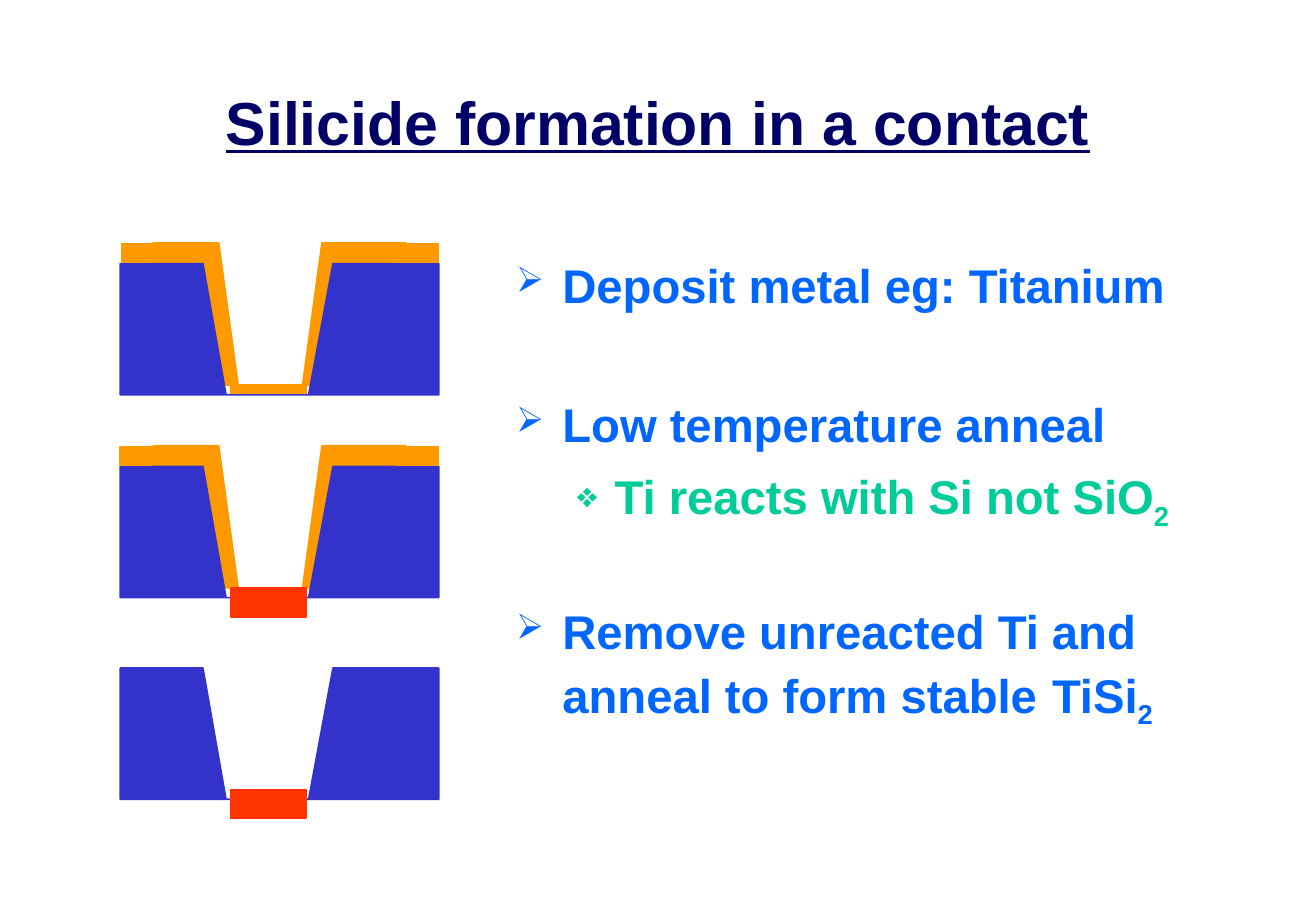
from dataclasses import dataclass

from lxml import etree
from pptx import Presentation
from pptx.dml.color import RGBColor
from pptx.enum.shapes import MSO_SHAPE
from pptx.enum.text import MSO_ANCHOR, PP_ALIGN
from pptx.oxml.ns import qn
from pptx.util import Inches, Pt

RECTANGLE = MSO_SHAPE.RECTANGLE
MIDDLE, TOP = MSO_ANCHOR.MIDDLE, MSO_ANCHOR.TOP
CENTER, LEFT = PP_ALIGN.CENTER, PP_ALIGN.LEFT


@dataclass(frozen=True)
class Theme:
    """Colours, font and type sizes of the deck."""

    font: str = "Arial"
    title_size: int = 36
    body_size: int = 28
    wide_space_size: int = 32
    title: str = "000066"
    point: str = "0066FF"
    detail: str = "00CC99"
    metal: str = "FF9900"
    oxide: str = "3333CC"
    silicide: str = "FF3300"


class SlideBuilder:
    """Draws styled elements on the current slide."""

    def __init__(self, page, theme):
        self.page = page
        self.theme = theme

    def paint(self, shape, color):
        """Give a shape one colour for fill and outline."""
        shape.shadow.inherit = False
        shape.fill.solid()
        shape.fill.fore_color.rgb = RGBColor.from_string(color)
        shape.line.color.rgb = RGBColor.from_string(color)
        shape.line.width = Pt(1)

    def block(self, left, top, width, height, color):
        """Draw a filled rectangle."""
        frame = [Inches(length) for length in (left, top, width, height)]
        self.paint(self.page.shapes.add_shape(RECTANGLE, *frame), color)

    def profile(self, across, top, bottom, color):
        """Draw a layer with a tapered contact opening."""
        levels = (top, top, bottom, bottom, top, top, bottom, bottom)
        corners = [(Inches(x), Inches(y))
                   for x, y in zip(across + (across[0],), levels)]
        builder = self.page.shapes.build_freeform(*corners[0])
        builder.add_line_segments(corners[1:], close=True)
        self.paint(builder.convert_to_shape(), color)

    def text_box(self, left, top, width, height, anchor):
        """Add a wrapping text box and return its text frame."""
        frame = [Inches(length) for length in (left, top, width, height)]
        text_frame = self.page.shapes.add_textbox(*frame).text_frame
        text_frame.word_wrap = True
        text_frame.vertical_anchor = anchor
        return text_frame

    def add_spans(self, para, spans, color, align=LEFT):
        """Add spans of text with their own format values."""
        para.alignment = align
        for text, changes in spans:
            span = para.add_run()
            span.text = text
            values = {"name": self.theme.font, "bold": True,
                      "size": Pt(self.theme.body_size), **changes}
            baseline = values.pop("baseline", None)
            for name, value in values.items():
                setattr(span.font, name, value)
            span.font.color.rgb = RGBColor.from_string(color)
            if baseline is not None:
                span.font._element.set("baseline", str(baseline))

    def bullet(self, para, mark, color, margin, hanging):
        """Give a paragraph a hanging coloured bullet."""
        properties = para._p.get_or_add_pPr()
        properties.set("marL", str(Inches(margin)))
        properties.set("indent", str(-Inches(hanging)))
        tint = etree.SubElement(properties, qn("a:buClr"))
        etree.SubElement(tint, qn("a:srgbClr"), val=color)
        etree.SubElement(properties, qn("a:buSzPct"), val="75000")
        etree.SubElement(properties, qn("a:buChar"), char=mark)

    def bullets(self, text_frame, items):
        """Add bulleted paragraphs to a text frame."""
        for index, (mark, color, margin, hanging, before, spans) in enumerate(items):
            para = text_frame.add_paragraph() if index else text_frame.paragraphs[0]
            para.space_before = Pt(before)
            self.bullet(para, mark, color, margin, hanging)
            self.add_spans(para, spans, color)

    def contact(self, top, metal_left=None, silicide=False):
        """Draw one process stage of the contact."""
        theme = self.theme
        floor = top + 1.17
        if metal_left is not None:
            self.profile((1.26, 1.8, 1.96, 2.49, 2.65, 3.34, 3.34),
                         top, floor, theme.metal)
        self.profile((0.99, 1.67, 1.86, 2.54, 2.74, 3.61, 3.61),
                     top + 0.17, top + 1.25, theme.oxide)
        if metal_left is not None:
            self.block(3.26, top + 0.01, 0.35, 0.15, theme.metal)
            self.block(metal_left, top + 0.01, 0.26, 0.15, theme.metal)
        if silicide:
            self.block(1.9, floor, 0.62, 0.24, theme.silicide)
        else:
            self.block(1.9, floor, 0.62, 0.07, theme.metal)


def main():
    """Build and save the silicide slide."""
    theme = Theme()
    deck = Presentation()
    deck.slide_width, deck.slide_height = Inches(10.83), Inches(7.5)
    builder = SlideBuilder(deck.slides.add_slide(deck.slide_layouts[6]), theme)

    title = builder.text_box(0.45, 0.37, 9.93, 1.25, MIDDLE)
    heading = {"size": Pt(theme.title_size), "underline": True}
    builder.add_spans(title.paragraphs[0], [("Silicide formation in a contact", heading)],
                      theme.title, CENTER)

    point = ("➢", theme.point, 0.38, 0.38)
    detail = ("❖", theme.detail, 0.81, 0.31)
    subscript = ("2", {"baseline": -25000})
    builder.bullets(builder.text_box(4.15, 2.06, 6.11, 4.38, TOP), [
        (*point, 0, [("Deposit metal eg: Titanium", {})]),
        (*point, 49, [("Low temperature anneal", {})]),
        (*detail, 8.7, [("Ti reacts with Si not SiO", {}), subscript]),
        (*point, 42, [("Remove unreacted Ti and anneal to form stable", {}),
                      (" ", {"size": Pt(theme.wide_space_size)}),
                      ("TiSi", {}), subscript]),
    ])

    builder.contact(2, metal_left=1)
    builder.contact(3.67, metal_left=0.99, silicide=True)
    builder.contact(5.33, silicide=True)
    deck.save("out.pptx")


if __name__ == "__main__":
    main()
